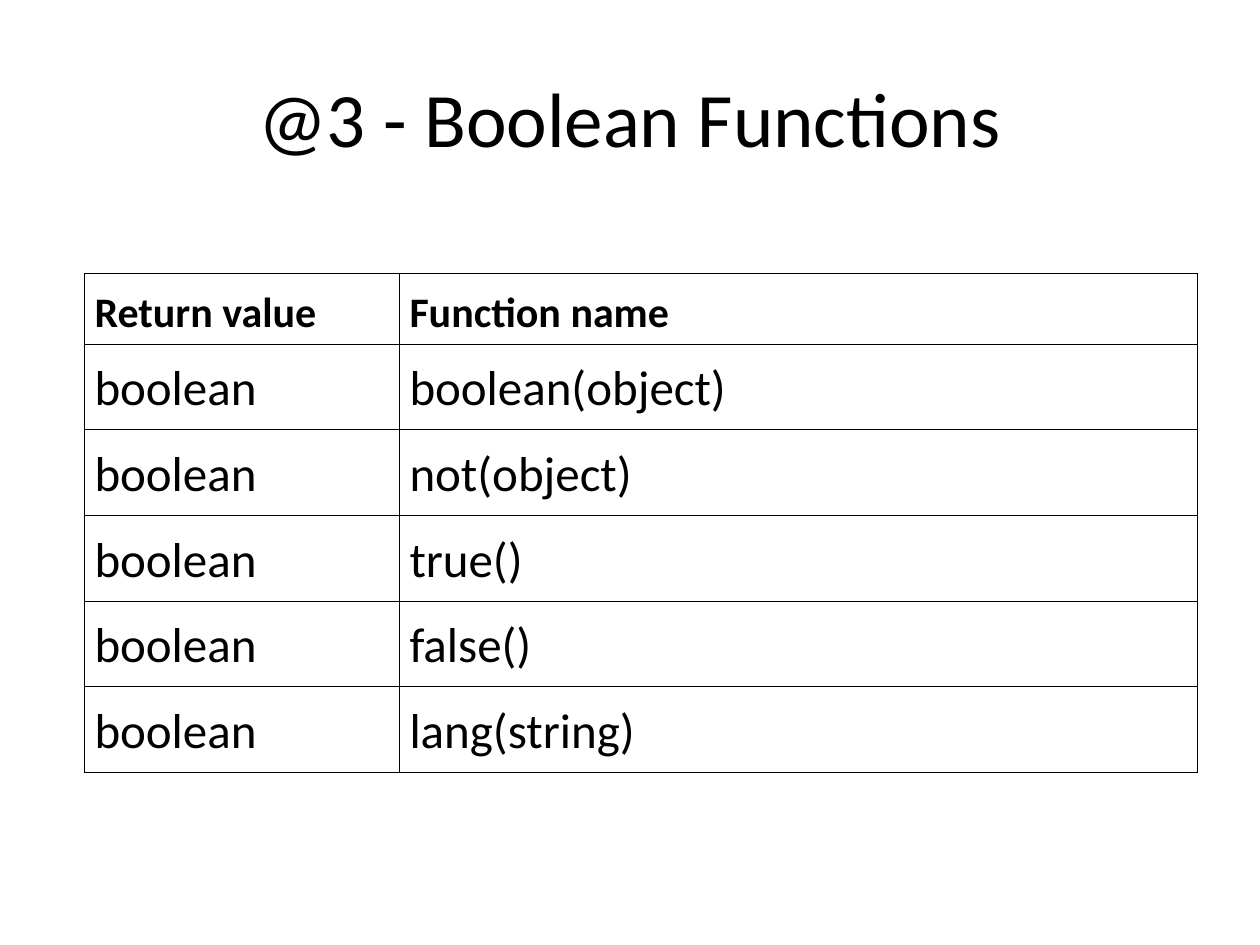
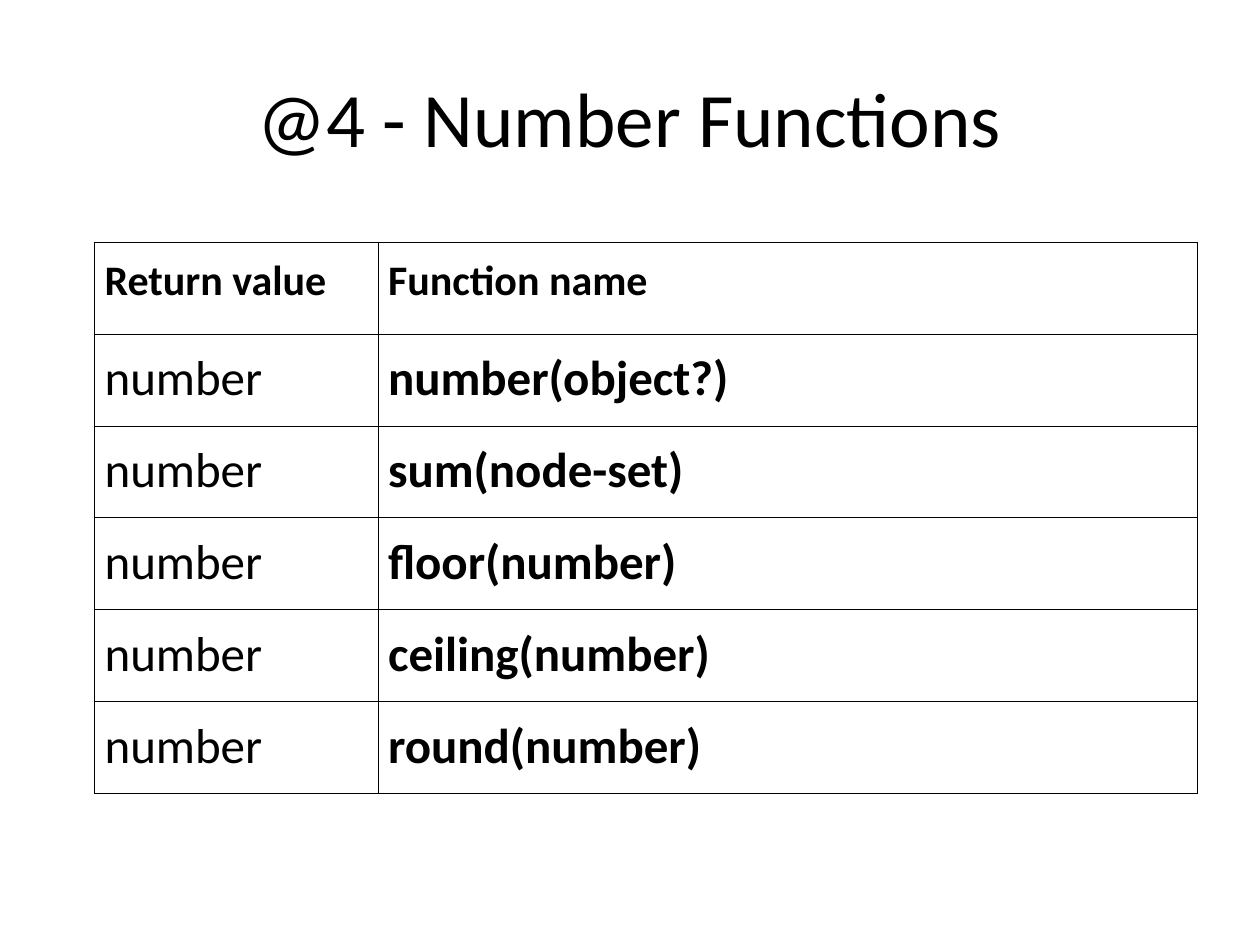
from dataclasses import dataclass

from lxml import etree
from pptx import Presentation
from pptx.dml.color import RGBColor
from pptx.enum.text import MSO_ANCHOR, PP_ALIGN
from pptx.oxml.ns import qn
from pptx.slide import Slide
from pptx.table import _Cell
from pptx.text.text import _Paragraph
from pptx.util import Inches, Pt

MIDDLE = MSO_ANCHOR.MIDDLE
TOP = MSO_ANCHOR.TOP
CENTER = PP_ALIGN.CENTER
LEFT = PP_ALIGN.LEFT

# Shared style
FONT = "Calibri"
BLACK = "000000"
WHITE = "FFFFFF"
TITLE_SIZE, HEADER_SIZE, BODY_SIZE = 44, 24, 28
BORDER_WIDTH = Pt(0.45)
HEADERS = ("Return value", "Function name")
TABLE_RIGHT = 9.5


@dataclass(frozen=True)
class FunctionPage:
    title: str
    return_type: str
    functions: tuple[str, ...]
    left: float
    top: float
    type_width: float
    header_height: float
    row_height: float
    bold_names: bool


PAGES = (
    FunctionPage(
        "@3 - Boolean Functions", "boolean",
        ("boolean(object)", "not(object)", "true()", "false()", "lang(string)"),
        left=0.67, top=2.17, type_width=2.5,
        header_height=0.5, row_height=0.68, bold_names=False,
    ),
    FunctionPage(
        "@4 - Number Functions", "number",
        ("number(object?)", "sum(node-set)", "floor(number)",
         "ceiling(number)", "round(number)"),
        left=0.75, top=1.92, type_width=2.25,
        header_height=0.73, row_height=0.73, bold_names=True,
    ),
)


def color(value: str) -> RGBColor:
    return RGBColor.from_string(value)


def write(para: _Paragraph, text: str, size: int, bold: bool = False) -> None:
    para.text = text
    for span in para.runs:
        span.font.name = FONT
        span.font.size = Pt(size)
        span.font.bold = bold
        span.font.color.rgb = color(BLACK)


def add_title(page: Slide, text: str) -> None:
    box = page.shapes.add_textbox(Inches(0.5), Inches(0.3), Inches(9), Inches(1.25))
    frame = box.text_frame
    frame.word_wrap = True
    frame.vertical_anchor = MIDDLE
    para = frame.paragraphs[0]
    write(para, text, TITLE_SIZE)
    para.alignment = CENTER


def add_borders(cell: _Cell) -> None:
    properties = cell._tc.get_or_add_tcPr()
    for side in ("a:lnL", "a:lnR", "a:lnT", "a:lnB"):
        line = etree.SubElement(properties, qn(side), w=str(int(BORDER_WIDTH)))
        fill = etree.SubElement(line, qn("a:solidFill"))
        etree.SubElement(fill, qn("a:srgbClr"), val=BLACK)


def fill_cell(cell: _Cell, text: str, size: int, bold: bool) -> None:
    add_borders(cell)
    cell.fill.background()
    cell.margin_left = cell.margin_right = Inches(0.08)
    cell.margin_top = cell.margin_bottom = Inches(0.05)
    cell.vertical_anchor = TOP
    para = cell.text_frame.paragraphs[0]
    write(para, text, size, bold)
    para.alignment = LEFT
    para.line_spacing = 1.15


def add_function_table(page: Slide, content: FunctionPage) -> None:
    count = len(content.functions)
    width = TABLE_RIGHT - content.left
    height = content.header_height + count * content.row_height
    table = page.shapes.add_table(
        count + 1, len(HEADERS), Inches(content.left), Inches(content.top),
        Inches(width), Inches(height),
    ).table
    table.first_row = False
    table.horz_banding = False
    table.columns[0].width = Inches(content.type_width)
    table.columns[1].width = Inches(width - content.type_width)

    # Header row
    table.rows[0].height = Inches(content.header_height)
    for column, text in enumerate(HEADERS):
        fill_cell(table.cell(0, column), text, HEADER_SIZE, True)

    # One row per function
    for row, name in enumerate(content.functions, start=1):
        table.rows[row].height = Inches(content.row_height)
        fill_cell(table.cell(row, 0), content.return_type, BODY_SIZE, False)
        fill_cell(table.cell(row, 1), name, BODY_SIZE, content.bold_names)


def main() -> None:
    deck = Presentation()
    deck.slide_width = Inches(10)
    deck.slide_height = Inches(7.5)
    blank = deck.slide_layouts[6]
    for content in PAGES:
        page = deck.slides.add_slide(blank)
        page.background.fill.solid()
        page.background.fill.fore_color.rgb = color(WHITE)
        add_title(page, content.title)
        add_function_table(page, content)
    deck.save("out.pptx")


if __name__ == "__main__":
    main()
